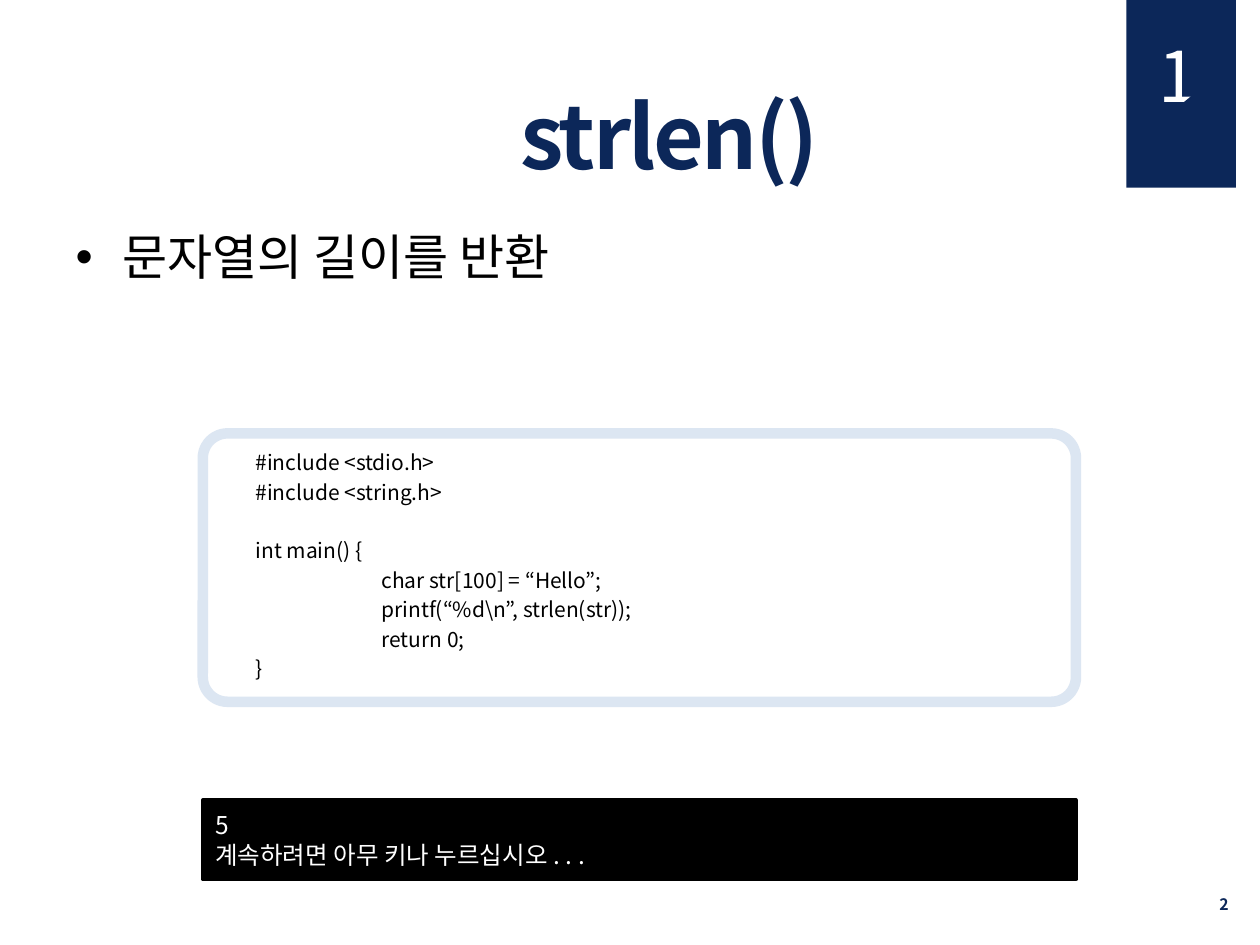
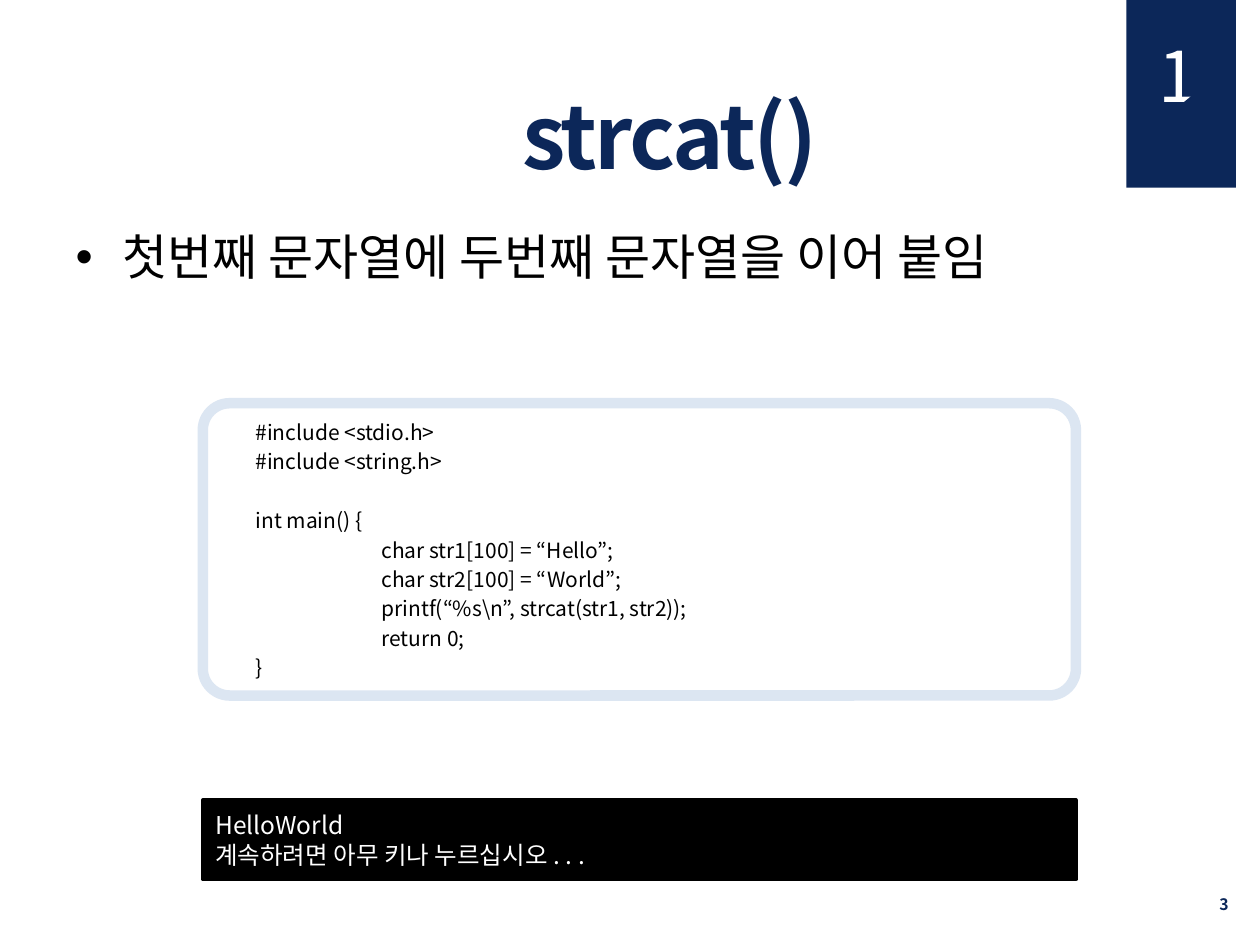
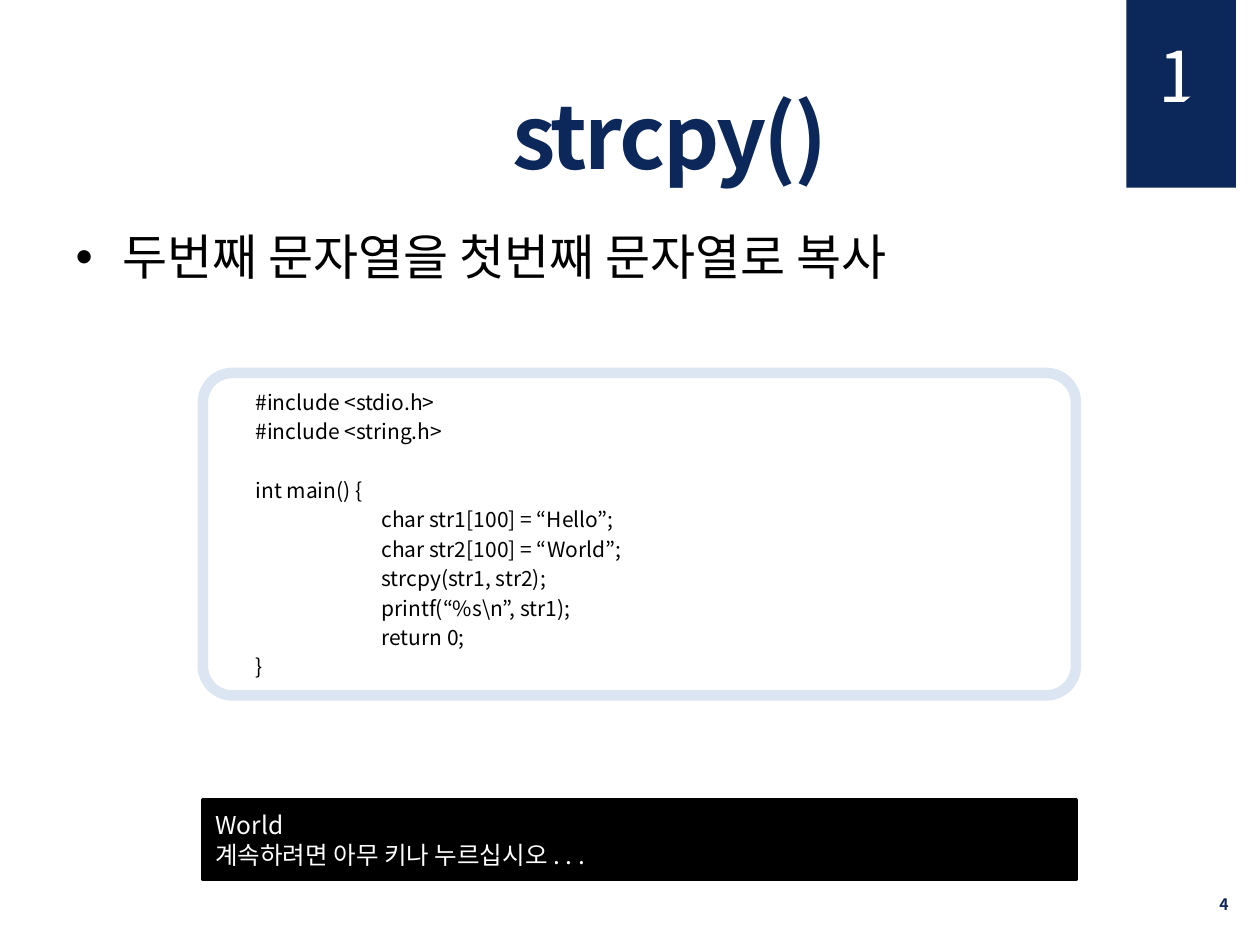
from lxml import etree
from pptx import Presentation
from pptx.dml.color import RGBColor
from pptx.enum.shapes import MSO_SHAPE
from pptx.enum.text import MSO_ANCHOR, MSO_AUTO_SIZE, PP_ALIGN
from pptx.oxml.ns import qn
from pptx.util import Inches, Pt

RECTANGLE, ROUNDED, TRIANGLE = MSO_SHAPE.RECTANGLE, MSO_SHAPE.ROUNDED_RECTANGLE, MSO_SHAPE.ISOSCELES_TRIANGLE
TOP, MIDDLE = MSO_ANCHOR.TOP, MSO_ANCHOR.MIDDLE
LEFT, CENTER, RIGHT = PP_ALIGN.LEFT, PP_ALIGN.CENTER, PP_ALIGN.RIGHT
NO_FIT, GROW = MSO_AUTO_SIZE.NONE, MSO_AUTO_SIZE.SHAPE_TO_FIT_TEXT

FONT = "Noto Sans CJK KR"
NAVY, PALE_BLUE, BLACK, WHITE = "0C2759", "DCE6F2", "000000", "FFFFFF"
LINE_STEP = 0.24      # the code panel grows upwards by this much per line
BASE_LINES = 8        # lines in the shortest program
CHAPTER = "1"
PROMPT = "계속하려면 아무 키나 누르십시오 . . ."

# title, description, panel height, statements inside main(), program output
LESSONS = [
    ("strlen()", "문자열의 길이를 반환", 2.13,
     ["char str[100] = “Hello”;", "printf(“%d\\n”, strlen(str));"], "5"),
    ("strcat()", "첫번째 문자열에 두번째 문자열을 이어 붙임", 2.32,
     ["char str1[100] = “Hello”;", "char str2[100] = “World”;",
      "printf(“%s\\n”, strcat(str1, str2));"], "HelloWorld"),
    ("strcpy()", "두번째 문자열을 첫번째 문자열로 복사", 2.56,
     ["char str1[100] = “Hello”;", "char str2[100] = “World”;",
      "strcpy(str1, str2);", "printf(“%s\\n”, str1);"], "World"),
]


def write(box, lines, size, color, align=LEFT, anchor=TOP, fit=NO_FIT, bold=False):
    """Fill a box with one paragraph per line and return the paragraphs."""
    frame = box.text_frame
    frame.word_wrap = True
    frame.auto_size = fit
    frame.vertical_anchor = anchor
    for index, line in enumerate(lines):
        para = frame.add_paragraph() if index else frame.paragraphs[0]
        para.alignment = align
        span = para.add_run()
        span.text = line
        span.font.size = Pt(size)
        span.font.bold = bold
        span.font.color.rgb = RGBColor.from_string(color)
        span.font.name = FONT
        etree.SubElement(span.font._element, qn("a:ea")).set("typeface", FONT)
    return frame.paragraphs


def add_block(shapes, kind, place, fill=None, line=None, width=0):
    """Add a flat preset shape at (left, top, width, height) in inches."""
    block = shapes.add_shape(kind, *[Inches(length) for length in place])
    block.shadow.inherit = False
    if fill:
        block.fill.solid()
        block.fill.fore_color.rgb = RGBColor.from_string(fill)
    else:
        block.fill.background()
    if line:
        block.line.color.rgb = RGBColor.from_string(line)
        block.line.width = Pt(width)
    else:
        block.line.fill.background()
    return block


deck = Presentation()
deck.slide_width, deck.slide_height = Inches(10), Inches(7.5)

for number, (title, description, panel_height, statements, output) in enumerate(LESSONS, start=2):
    page = deck.slides.add_slide(deck.slide_layouts[1])
    shapes = page.shapes

    # Page number
    box = shapes.add_textbox(Inches(7.52), Inches(6.98), Inches(2.33), Inches(0.4))
    write(box, [str(number)], 9, NAVY, align=RIGHT, anchor=MIDDLE, bold=True)

    # Title
    heading = shapes.title
    heading.left, heading.top = Inches(2.32), Inches(0.6)
    heading.width, heading.height = Inches(5.99), Inches(0.94)
    para = write(heading, [title], 50, NAVY, align=CENTER, fit=GROW, bold=True)[0]
    para.runs[0].font._element.set("spc", "-150")

    # Chapter band with a numeral whose foot is cut by a triangle
    add_block(shapes, RECTANGLE, (8.94, 0, 0.87, 1.49), fill=NAVY)
    badge = shapes.add_group_shape()
    box = badge.shapes.add_textbox(Inches(9.1), Inches(0.21), Inches(0.63), Inches(0.77))
    write(box, [CHAPTER], 40, WHITE, fit=GROW)
    corner = add_block(badge.shapes, TRIANGLE, (9.18, 0.6, 0.47, 0.39), fill=NAVY)
    corner.adjustments[0] = 1

    # Description, with the template's bullet
    body = page.placeholders[1]
    body.left, body.top = Inches(0.5), Inches(1.75)
    body.width, body.height = Inches(9), Inches(2.94)
    write(body, [description], 28, BLACK)

    # Code panel
    includes = ["#include <stdio.h>", "#include <string.h>"]
    inner = ["\t" + statement for statement in statements + ["return 0;"]]
    code = includes + ["int main() {"] + inner + ["}"]
    growth = LINE_STEP * (len(code) + 1 - BASE_LINES)
    panel_top = 3.44 - growth
    panel = add_block(shapes, ROUNDED, (1.61, panel_top, 6.93, panel_height), line=PALE_BLUE, width=6)
    panel.adjustments[0] = 0.092

    box = shapes.add_textbox(Inches(1.93), Inches(panel_top + 0.08), Inches(6.61), Inches(2 + growth))
    paras = write(box, code, 12, BLACK, fit=GROW)
    for para in paras:
        para.space_before = Pt(2.4)
        tabs = etree.SubElement(para._p.get_or_add_pPr(), qn("a:tabLst"))
        etree.SubElement(tabs, qn("a:tab"), pos=str(Inches(1)), algn="l")
    paras[len(includes)].space_before = Pt(19.2)  # one open line before main()

    # Console output
    console = add_block(shapes, RECTANGLE, (1.61, 6.35, 6.93, 0.63), fill=BLACK, line=BLACK, width=2)
    write(console, [output, PROMPT], 14, WHITE, anchor=MIDDLE)

deck.save("out.pptx")
